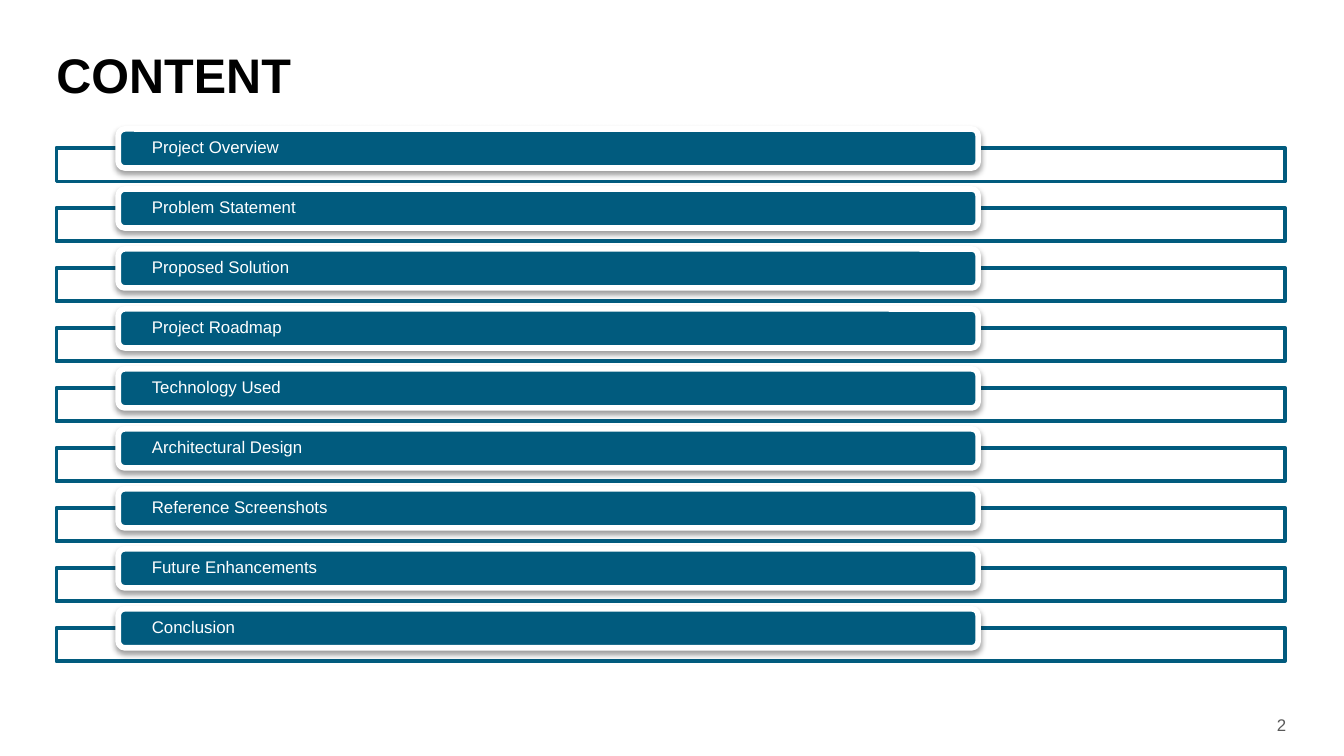
from dataclasses import dataclass

from lxml import etree
from pptx import Presentation
from pptx.dml.color import RGBColor
from pptx.enum import shapes, text
from pptx.oxml import ns
from pptx.util import Inches, Pt


@dataclass(frozen=True)
class Theme:
    accent: str = "015B7E"
    white: str = "FFFFFF"
    black: str = "000000"
    grey: str = "595959"
    font: str = "Arial"
    title_size: int = 26
    body_size: int = 9


THEME = Theme()
SLIDE_WIDTH = 10
SLIDE_HEIGHT = SLIDE_WIDTH * 9 / 16

TOPICS = [
    "Project Overview", "Problem Statement", "Proposed Solution",
    "Project Roadmap", "Technology Used", "Architectural Design",
    "Reference Screenshots", "Future Enhancements", "Conclusion",
]


def add_text(parent, box, words, size=THEME.body_size, color=THEME.black, bold=False,
             align=text.PP_ALIGN.LEFT, anchor=text.MSO_ANCHOR.MIDDLE,
             line_spacing=0.9, inset=0):
    """Place one line of text in box (left, top, width, height in inches)."""
    frame = parent.add_textbox(*map(Inches, box)).text_frame
    frame.word_wrap = True
    frame.vertical_anchor = anchor
    frame.margin_left = frame.margin_right = Inches(inset)
    frame.margin_top = frame.margin_bottom = 0
    paragraph = frame.paragraphs[0]
    paragraph.alignment = align
    paragraph.line_spacing = line_spacing
    run = paragraph.add_run()
    run.text = words
    run.font.name = THEME.font
    run.font.size = Pt(size)
    run.font.bold = bold
    run.font.color.rgb = RGBColor.from_string(color)


def add_bar(parent, preset, box, fill, line, line_width):
    bar = parent.add_shape(preset, *map(Inches, box))
    bar.shadow.inherit = False
    bar.fill.solid()
    bar.fill.fore_color.rgb = RGBColor.from_string(fill)
    bar.line.color.rgb = RGBColor.from_string(line)
    bar.line.width = Pt(line_width)
    return bar


def add_alpha(color_element, percent):
    etree.SubElement(color_element, ns.qn("a:alpha"), val=str(percent * 1000))


def add_drop_shadow(bar, blur=3.1, distance=1.6, opacity=38):
    effects = bar._element.spPr.find(ns.qn("a:effectLst"))
    shadow = etree.SubElement(
        effects, ns.qn("a:outerShdw"), blurRad=str(Pt(blur)), dist=str(Pt(distance)),
        dir=str(90 * 60000), rotWithShape="0")
    add_alpha(etree.SubElement(shadow, ns.qn("a:srgbClr"), val=THEME.black), opacity)


def add_topic(parent, box, topic):
    """Outlined strip with a raised label overlapping its top edge."""
    left, top, width, height = box
    label_height = 0.29

    # Strip
    strip_height = 0.25
    strip = add_bar(parent, shapes.MSO_SHAPE.RECTANGLE,
                    (left, top + height - strip_height, width, strip_height),
                    THEME.white, THEME.accent, 2)
    add_alpha(strip._element.spPr.find(".//" + ns.qn("a:srgbClr")), 90)

    # Label
    label_left, label_width = left + 0.46, width * 0.7
    label = add_bar(parent, shapes.MSO_SHAPE.ROUNDED_RECTANGLE,
                    (label_left, top, label_width, label_height),
                    THEME.accent, THEME.white, 3)
    add_drop_shadow(label)

    # Topic name
    pad = 0.01
    add_text(parent,
             (label_left + pad, top + pad, label_width - 2 * pad, label_height - 2 * pad),
             topic, color=THEME.white, inset=0.24)


def add_topic_list(slide, box, topics):
    left, top, width, height = box
    topic_height = 0.39
    pitch = (height - topic_height) / (len(topics) - 1)
    group = slide.shapes.add_group_shape()
    for index, topic in enumerate(topics):
        add_topic(group.shapes, (left, top + index * pitch, width, topic_height), topic)


def build_content_slide(prs):
    slide = prs.slides.add_slide(prs.slide_layouts[6])

    # Title
    add_text(slide.shapes, (0.42, 0.42, 9.14, 0.39), "CONTENT", size=THEME.title_size,
             bold=True, anchor=text.MSO_ANCHOR.TOP, line_spacing=0.8)

    # Page number
    add_text(slide.shapes, (9.06, 5.33, 0.51, 0.15), "2", color=THEME.grey,
             align=text.PP_ALIGN.RIGHT)

    # Topics
    add_topic_list(slide, (0.42, 0.96, 9.14, 3.96), TOPICS)


def main():
    prs = Presentation()
    prs.slide_width, prs.slide_height = Inches(SLIDE_WIDTH), Inches(SLIDE_HEIGHT)
    build_content_slide(prs)
    prs.save("out.pptx")


if __name__ == "__main__":
    main()
